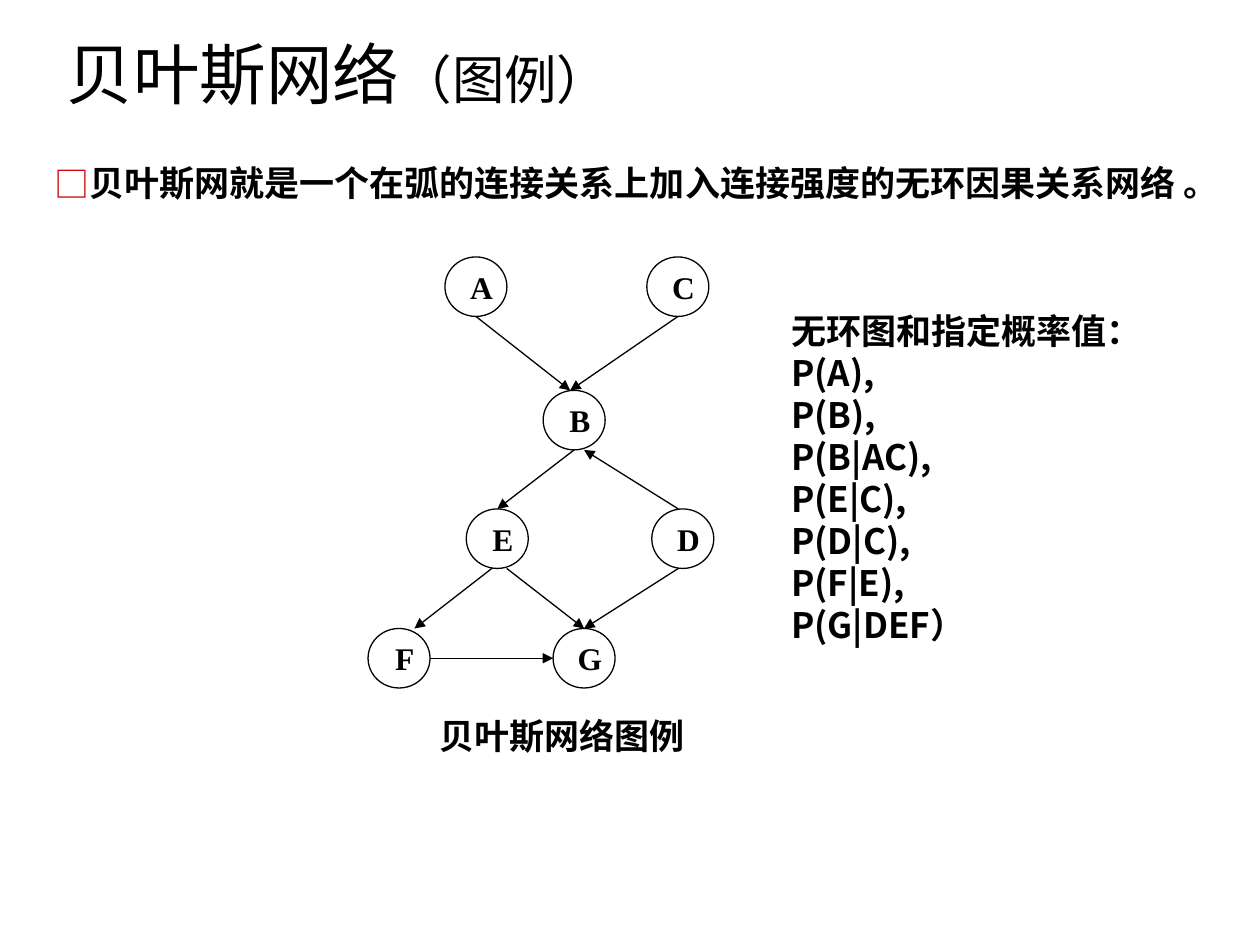
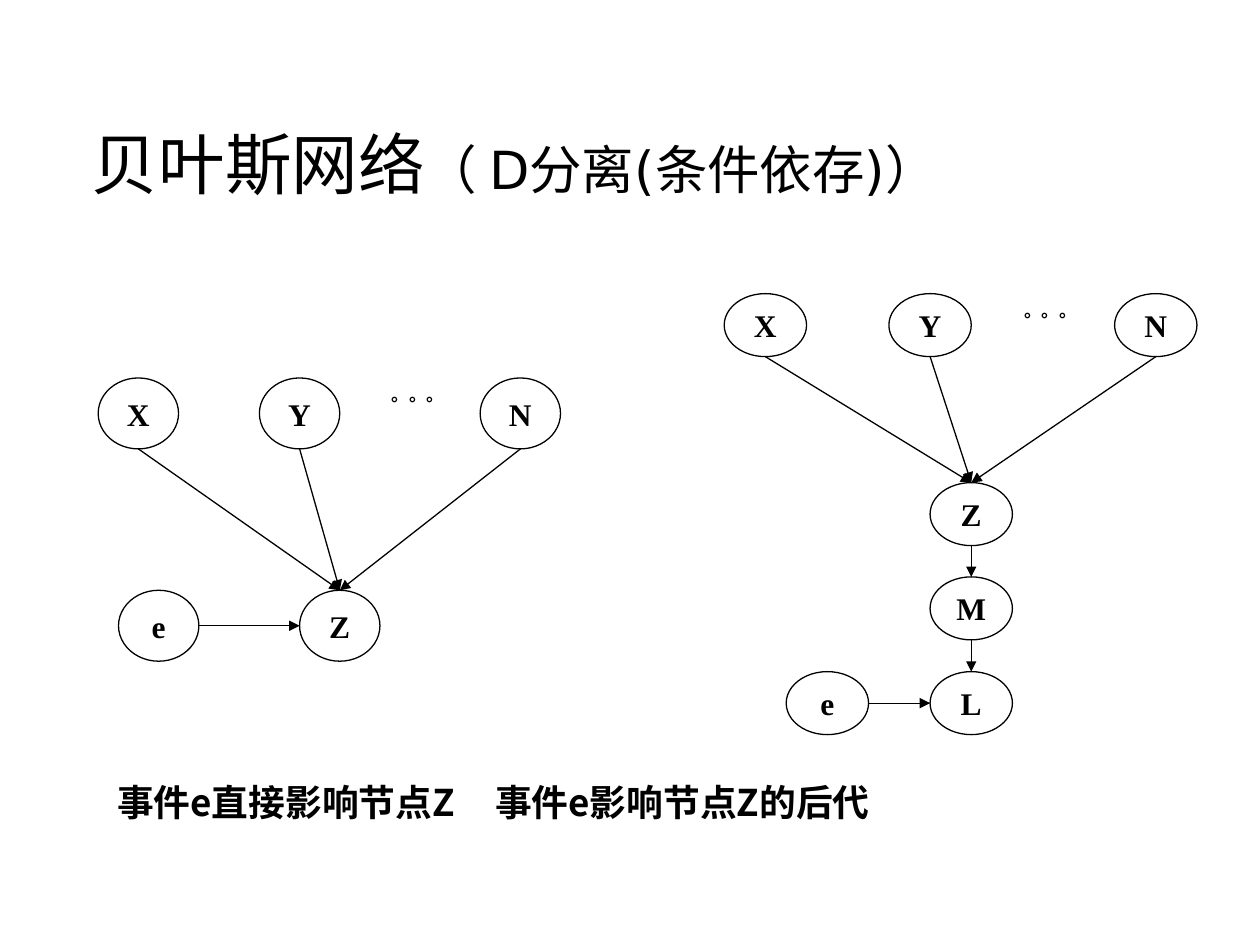
import pptx
import pptx.dml.color
import pptx.enum.shapes
import pptx.enum.text
import pptx.oxml.ns
import pptx.util
from lxml import etree
from pptx.util import Cm

BLACK = pptx.dml.color.RGBColor(0x00, 0x00, 0x00)
WHITE = pptx.dml.color.RGBColor(0xFF, 0xFF, 0xFF)
BULLET_RED = pptx.dml.color.RGBColor(0xCC, 0x00, 0x00)
TITLE_FONT = "DejaVu Sans"
CHINESE_FONT = "Noto Sans CJK SC"
LABEL_FONT = "Times New Roman"
LINE_WIDTH = pptx.util.Pt(0.75)
ALIGN = pptx.enum.text.PP_ALIGN
ANCHOR = pptx.enum.text.MSO_ANCHOR
qn = pptx.oxml.ns.qn


def style_span(span, size, latin_font, bold=True):
    """Format one run, with the Chinese font for East Asian characters."""
    span.font.size = pptx.util.Pt(size)
    span.font.bold = bold
    span.font.color.rgb = BLACK
    span.font.name = latin_font
    east_asian = etree.Element(qn("a:ea"), typeface=CHINESE_FONT)
    span.font._element.find(qn("a:latin")).addnext(east_asian)


def draw_network(page, nodes, edges, width, height, label_inset=0):
    """Draw nodes {name: (left, top)} and arrows (start, end, start shift, end shift), in cm."""
    for name, (left, top) in nodes.items():
        node = page.shapes.add_shape(
            pptx.enum.shapes.MSO_SHAPE.OVAL, Cm(left), Cm(top), Cm(width), Cm(height))
        node.shadow.inherit = False
        node.fill.solid()
        node.fill.fore_color.rgb = WHITE
        node.line.color.rgb = BLACK
        node.line.width = LINE_WIDTH
        frame = node.text_frame
        frame.text = name
        frame.word_wrap = False
        frame.vertical_anchor = ANCHOR.MIDDLE
        frame.margin_left = Cm(label_inset)
        frame.margin_right = frame.margin_top = frame.margin_bottom = 0
        frame.paragraphs[0].alignment = ALIGN.CENTER
        style_span(frame.paragraphs[0].runs[0], 18, LABEL_FONT)

    for start, end, start_shift, end_shift in edges:
        (x1, y1), (x2, y2) = nodes[start], nodes[end]
        if y1 == y2:
            x1 += width
            y1 = y2 = y1 + height / 2
        else:
            x1 += width / 2 + start_shift
            x2 += width / 2 + end_shift
            if y1 < y2:
                y1 += height
            else:
                y2 += height
        arrow = page.shapes.add_connector(
            pptx.enum.shapes.MSO_CONNECTOR.STRAIGHT, Cm(x1), Cm(y1), Cm(x2), Cm(y2))
        arrow.line.color.rgb = BLACK
        arrow.line.width = LINE_WIDTH
        etree.SubElement(arrow.line._get_or_add_ln(), qn("a:tailEnd"), type="triangle")
        etree.SubElement(arrow._element.spPr, qn("a:effectLst"))


deck = pptx.Presentation()
deck.slide_width, deck.slide_height = Cm(25.4), Cm(19.05)

# Titles and body lines: subtitle, title box, body box, body text, size, left inset, anchor
page_texts = [
    ("（图例）", (1.09, 0.71, 22.23, 1.7), (0.84, 3.12, 24.08, 1.12),
     "贝叶斯网就是一个在弧的连接关系上加入连接强度的无环因果关系网络 。",
     20, 0.25, ANCHOR.TOP),
    ("（ D分离(条件依存)）", (1.6, 0.84, 22.23, 3.38), (1.57, 4.88, 22.23, 11.86),
     "事件e直接影响节点Z\t事件e影响节点Z的后代", 21, 0.79, ANCHOR.BOTTOM),
]
for subtitle, title_box, body_box, body_text, size, inset, anchor in page_texts:
    page = deck.slides.add_slide(deck.slide_layouts[1])
    title, body = page.shapes.title, page.placeholders[1]
    for placeholder, box in ((title, title_box), (body, body_box)):
        placeholder.left, placeholder.top, placeholder.width, placeholder.height = map(Cm, box)
        placeholder.text_frame.auto_size = pptx.enum.text.MSO_AUTO_SIZE.NONE

    title.text_frame.text = "贝叶斯网络"
    title.text_frame.vertical_anchor = ANCHOR.BOTTOM
    para = title.text_frame.paragraphs[0]
    para.alignment = ALIGN.LEFT
    para.add_run().text = subtitle
    for span, title_size in zip(para.runs, (38, 30)):
        style_span(span, title_size, TITLE_FONT, bold=False)

    body.text_frame.text = body_text
    body.text_frame.margin_left = Cm(inset)
    body.text_frame.vertical_anchor = anchor
    para = body.text_frame.paragraphs[0]
    para.space_before = 0
    style_span(para.runs[0], size, CHINESE_FONT)

network_page, separation_page = deck.slides

# The first body line has a red square bullet
properties = network_page.placeholders[1].text_frame.paragraphs[0]._p.get_or_add_pPr()
properties.set("marL", str(Cm(0.61)))
properties.set("indent", str(-Cm(0.61)))
bullet_color = etree.SubElement(properties, qn("a:buClr"))
etree.SubElement(bullet_color, qn("a:srgbClr"), val=str(BULLET_RED))
etree.SubElement(properties, qn("a:buFont"), typeface=CHINESE_FONT)
etree.SubElement(properties, qn("a:buChar"), char="□")

# The second holds two captions, parted by a tab stop
properties = separation_page.placeholders[1].text_frame.paragraphs[0]._p.get_or_add_pPr()
properties.set("marL", "0")
properties.set("indent", "0")
etree.SubElement(properties, qn("a:buNone"))
tab_stops = etree.SubElement(properties, qn("a:tabLst"))
etree.SubElement(tab_stops, qn("a:tab"), pos=str(Cm(9.86)), algn="l")

draw_network(
    network_page,
    {"A": (8.97, 5.18), "C": (13.04, 5.18), "B": (10.95, 7.87), "E": (9.4, 10.26),
     "D": (13.14, 10.26), "F": (7.42, 12.67), "G": (11.15, 12.67)},
    [("A", "B", 0, -0.08), ("C", "B", 0, -0.08), ("B", "E", 0, 0), ("D", "B", -0.09, 0.2),
     ("E", "F", -0.11, 0.31), ("E", "G", 0.19, 0), ("D", "G", -0.09, 0), ("F", "G", 0, 0)],
    1.25, 1.2, label_inset=0.23)

causes_of_z = [(cause, "Z", 0, 0) for cause in "XYN"]
draw_network(
    separation_page,
    {"X": (1.98, 7.62), "Y": (5.23, 7.62), "N": (9.68, 7.62),
     "Z": (6.04, 11.9), "e": (2.39, 11.9)},
    causes_of_z + [("e", "Z", 0, 0)], 1.62, 1.43)
draw_network(
    separation_page,
    {"X": (14.6, 5.92), "Y": (17.92, 5.92), "N": (22.47, 5.92), "Z": (18.75, 9.73),
     "M": (18.75, 11.63), "L": (18.75, 13.54), "e": (15.85, 13.54)},
    causes_of_z + [("Z", "M", 0, 0), ("M", "L", 0, 0), ("e", "L", 0, 0)], 1.66, 1.27)

probabilities = "\n".join([
    "无环图和指定概率值：", "P(A),", "P(B),", "P(B|AC),", "P(E|C),", "P(D|C),", "P(F|E),",
    "P(G|DEF）"])
text_boxes = [
    (network_page, (5.51, 14.27, 11.63, 1.12), "贝叶斯网络图例", 20, LABEL_FONT, ALIGN.CENTER),
    (network_page, (15.7, 6.12, 8.41, 7.04), probabilities, 20, CHINESE_FONT, ALIGN.LEFT),
    (separation_page, (7.65, 7.62, 1.63, 1.78), "。。。", 10, LABEL_FONT, ALIGN.JUSTIFY),
    (separation_page, (20.4, 5.92, 1.65, 1.57), "。。。", 10, LABEL_FONT, ALIGN.JUSTIFY),
]
for page, place, text, size, font, alignment in text_boxes:
    box = page.shapes.add_textbox(*map(Cm, place))
    box.text_frame.word_wrap = True
    box.text_frame.text = text
    for para in box.text_frame.paragraphs:
        para.alignment = alignment
        style_span(para.runs[0], size, font)

deck.save("out.pptx")
